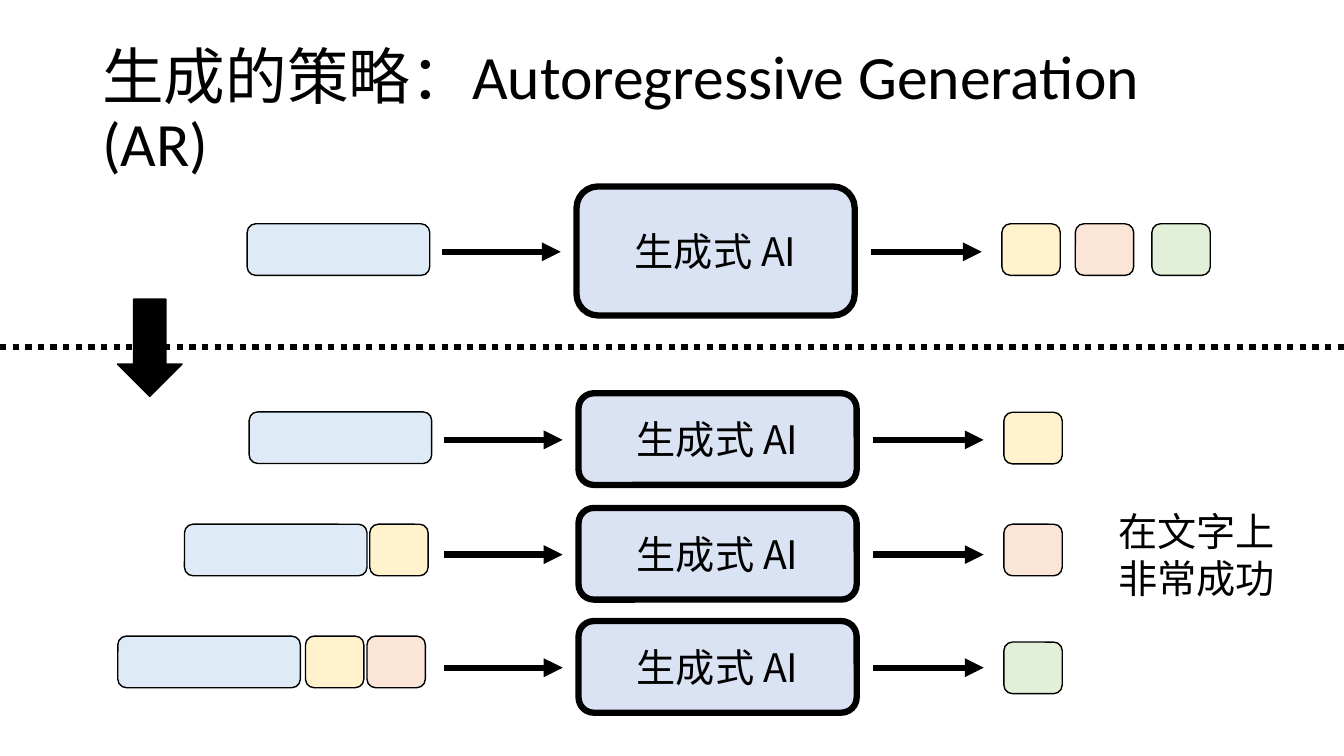
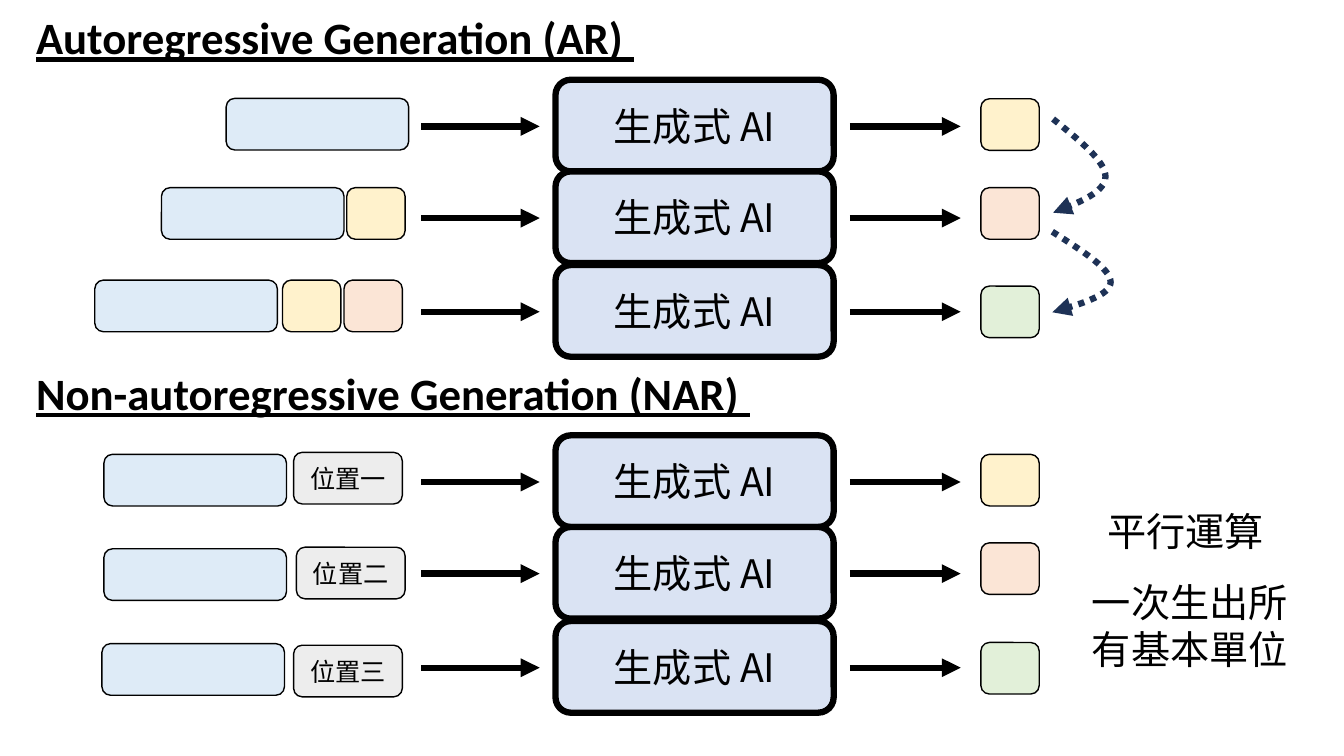
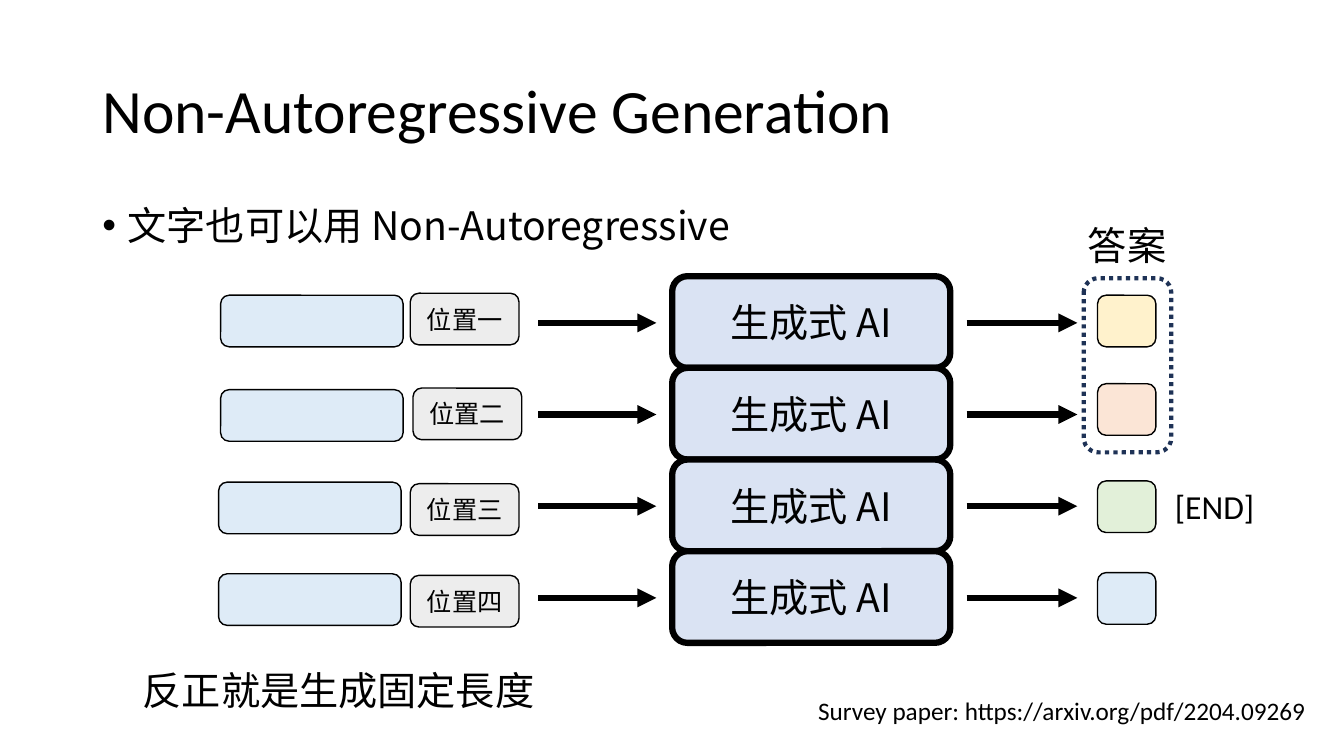
from dataclasses import dataclass

from lxml.etree import SubElement
from pptx import Presentation
from pptx.dml.color import RGBColor
from pptx.enum.dml import MSO_LINE
from pptx.enum.shapes import MSO_CONNECTOR, MSO_SHAPE
from pptx.enum.text import MSO_ANCHOR, PP_ALIGN
from pptx.oxml.ns import qn
from pptx.util import Cm, Pt


@dataclass(frozen=True)
class Theme:
    ink: str = "000000"
    navy: str = "1E3256"
    model: str = "DAE3F3"
    prompt: str = "DEEBF7"
    yellow: str = "FFF2CC"
    red: str = "FBE5D6"
    green: str = "E2F0D9"
    position: str = "EDEDED"
    latin: str = "Calibri"
    chinese: str = "Noto Sans CJK SC"
    title: int = 44
    heading: int = 32
    body: int = 28
    mark: int = 24
    small: int = 18
    thin: float = 1
    frame: float = 3
    thick: float = 4.5


THEME = Theme()
SLIDE_WIDTH, SLIDE_HEIGHT = 33.87, 19.05
MODEL_WIDTH, MODEL_HEIGHT = 7.01, 2.31
TOKEN_WIDTH, PROMPT_WIDTH, POSITION_WIDTH = 1.47, 4.6, 2.74
TOKEN_HEIGHT = 1.3
INPUT_ARROW = (-3.38, -0.4)
OUTPUT_ARROW = (7.42, 10.21)
OUTPUT_LEFT = 10.72


@dataclass(frozen=True)
class Block:
    left: float
    top: float
    color: str
    width: float = TOKEN_WIDTH
    label: str = ""


def prompt(left, top):
    return Block(left, top, THEME.prompt, PROMPT_WIDTH)


def position(left, top, numeral):
    return Block(left, top, THEME.position, POSITION_WIDTH, "位置" + numeral)


def output(top, color):
    return Block(OUTPUT_LEFT, top, color)


OVERVIEW_STEP = [
    prompt(-8.3, 0.94),
    output(0.94, THEME.yellow),
    Block(12.57, 0.94, THEME.red),
    Block(14.5, 0.94, THEME.green),
]
AUTOREGRESSIVE_STEPS = [
    [prompt(-8.3, 0.47), output(0.48, THEME.yellow)],
    [prompt(-9.93, 0.41), Block(-5.26, 0.41, THEME.yellow), output(0.41, THEME.red)],
    [
        prompt(-11.61, 0.38),
        Block(-6.88, 0.38, THEME.yellow),
        Block(-5.33, 0.38, THEME.red),
        output(0.53, THEME.green),
    ],
]
PARALLEL_STEPS = [
    [prompt(-11.38, 0.48), position(-6.6, 0.43, "一"), output(0.48, THEME.yellow)],
    [prompt(-11.38, 0.55), position(-6.53, 0.51, "二"), output(0.4, THEME.red)],
    [prompt(-11.43, 0.57), position(-6.6, 0.61, "三"), output(0.54, THEME.green)],
    [prompt(-11.43, 0.57), position(-6.6, 0.61, "四"), output(0.54, THEME.prompt)],
]


def color_of(value):
    return RGBColor.from_string(value)


def style_run(run, size, font, bold=False, underline=False):
    run.font.size = Pt(size)
    run.font.name = font
    run.font.bold = bold
    run.font.underline = underline
    run.font.color.rgb = color_of(THEME.ink)
    east_asian = SubElement(run.font._element, qn("a:ea"))
    east_asian.set("typeface", THEME.chinese)


def style_line(line, width, color=THEME.ink, dotted=False):
    line.color.rgb = color_of(color)
    line.width = Pt(width)
    if dotted:
        line.dash_style = MSO_LINE.ROUND_DOT


def add_arrowhead(shape):
    outline = shape._element.spPr.find(qn("a:ln"))
    SubElement(outline, qn("a:tailEnd")).set("type", "triangle")


def add_text(slide, box, text, size=THEME.body, font=THEME.chinese,
             align=PP_ALIGN.LEFT, bold=False, underline=False):
    shape = slide.shapes.add_textbox(*map(Cm, box))
    frame = shape.text_frame
    frame.word_wrap = True
    frame.text = text
    for paragraph in frame.paragraphs:
        paragraph.alignment = align
        for run in paragraph.runs:
            style_run(run, size, font, bold, underline)
    return shape


def add_title(slide, *parts):
    shape = add_text(slide, (2.33, 1.01, 29.21, 3.68), "")
    frame = shape.text_frame
    frame.vertical_anchor = MSO_ANCHOR.MIDDLE
    paragraph = frame.paragraphs[0]
    paragraph.line_spacing = 0.9
    for text, font in parts:
        run = paragraph.add_run()
        run.text = text
        style_run(run, THEME.title, font)


def add_heading(slide, top, text):
    add_text(slide, (0.66, top, 21.74, 1.62), text, THEME.heading, THEME.latin,
             bold=True, underline=True)


def add_bullet(slide, box, text):
    shape = add_text(slide, box, text)
    paragraph = shape.text_frame.paragraphs[0]
    paragraph.line_spacing = 0.9
    properties = paragraph._p.get_or_add_pPr()
    properties.set("marL", str(Cm(0.64)))
    properties.set("indent", str(-Cm(0.64)))
    SubElement(properties, qn("a:buFont")).set("typeface", "Arial")
    SubElement(properties, qn("a:buChar")).set("char", "•")


def add_box(slide, box, fill=None, label="", size=THEME.body, line_width=THEME.thin,
            line_color=THEME.ink, dotted=False, preset=MSO_SHAPE.ROUNDED_RECTANGLE):
    shape = slide.shapes.add_shape(preset, *map(Cm, box))
    shape.shadow.inherit = False
    if fill:
        shape.fill.solid()
        shape.fill.fore_color.rgb = color_of(fill)
    else:
        shape.fill.background()
    style_line(shape.line, line_width, line_color, dotted)
    if label:
        frame = shape.text_frame
        frame.text = label
        frame.vertical_anchor = MSO_ANCHOR.MIDDLE
        paragraph = frame.paragraphs[0]
        paragraph.alignment = PP_ALIGN.CENTER
        style_run(paragraph.runs[0], size, THEME.chinese)


def add_horizontal(slide, start, end, height, dotted=False, arrow=True):
    connector = slide.shapes.add_connector(
        MSO_CONNECTOR.STRAIGHT, Cm(start), Cm(height), Cm(end), Cm(height))
    style_line(connector.line, THEME.thick, dotted=dotted)
    if arrow:
        add_arrowhead(connector)
    SubElement(connector._element.spPr, qn("a:effectLst"))


def bezier_points(start, first, second, end, count=16):
    for index in range(1, count + 1):
        t = index / count
        weights = ((1 - t) ** 3, 3 * t * (1 - t) ** 2, 3 * t ** 2 * (1 - t), t ** 3)
        yield tuple(
            Cm(sum(weight * point[axis] for weight, point
                   in zip(weights, (start, first, second, end))))
            for axis in (0, 1))


def add_feedback_arrow(slide, left, top, middle, bottom, bulge):
    upper, lower = middle - top, bottom - middle
    right, center = left + bulge, left + bulge / 2
    start, turn, end = (left, top), (right, middle), (left, bottom)
    points = [
        *bezier_points(start, (center, top + 0.37 * upper),
                       (right, top + 0.73 * upper), turn),
        *bezier_points(turn, (right, middle + 0.43 * lower),
                       (center, middle + 0.72 * lower), end),
    ]
    builder = slide.shapes.build_freeform(Cm(left), Cm(top))
    builder.add_line_segments(points, close=False)
    shape = builder.convert_to_shape()
    shape.shadow.inherit = False
    shape.fill.background()
    style_line(shape.line, THEME.thick, THEME.navy, dotted=True)
    add_arrowhead(shape)


def add_step(slide, left, top, blocks, height=MODEL_HEIGHT):
    add_box(slide, (left, top, MODEL_WIDTH, height), THEME.model, "生成式 AI",
            line_width=THEME.thick)
    for start, end in (INPUT_ARROW, OUTPUT_ARROW):
        add_horizontal(slide, left + start, left + end, top + height / 2 + 0.02)
    for block in blocks:
        box = (left + block.left, top + block.top, block.width, TOKEN_HEIGHT)
        add_box(slide, box, block.color, block.label, THEME.small)


def add_steps(slide, left, tops, steps):
    for top, blocks in zip(tops, steps):
        add_step(slide, left, top, blocks)


def build_strategy(slide):
    add_title(slide, ("生成的策略：", THEME.chinese),
              ("Autoregressive Generation (AR)", THEME.latin))
    add_step(slide, 14.53, 4.7, OVERVIEW_STEP, height=3.25)
    add_steps(slide, 14.58, (9.91, 12.8, 15.65), AUTOREGRESSIVE_STEPS)
    add_horizontal(slide, 0, SLIDE_WIDTH, 8.74, dotted=True, arrow=False)
    add_box(slide, (2.96, 7.54, 1.63, 2.45), THEME.ink, preset=MSO_SHAPE.DOWN_ARROW)
    add_text(slide, (27.94, 12.65, 4.95, 2.64), "在文字上\n非常成功")


def build_comparison(slide):
    add_steps(slide, 14, (2.01, 4.32, 6.68), AUTOREGRESSIVE_STEPS)
    add_feedback_arrow(slide, 26.54, 3, 4.45, 5.36, 1.32)
    add_feedback_arrow(slide, 26.52, 5.84, 7.11, 7.87, 1.47)
    add_heading(slide, 0.13, "Autoregressive Generation (AR) ")
    add_heading(slide, 9.09, "Non-autoregressive Generation (NAR) ")
    add_steps(slide, 14, (10.97, 13.28, 15.65), PARALLEL_STEPS)
    add_text(slide, (27.08, 12.67, 5.61, 1.45), "平行運算", align=PP_ALIGN.CENTER)
    add_text(slide, (27.18, 14.45, 5.61, 2.64), "一次生出所有基本單位",
             align=PP_ALIGN.CENTER)


def build_parallel(slide):
    add_title(slide, ("Non-Autoregressive Generation", THEME.latin))
    add_bullet(slide, (2.33, 5.08, 29.21, 1.5), "文字也可以用 Non-Autoregressive")
    add_text(slide, (20.37, 17.4, 13.5, 1.02),
             "Survey paper: https://arxiv.org/pdf/2204.09269", THEME.small, THEME.latin)
    tops = [6.96 + index * MODEL_HEIGHT for index in range(len(PARALLEL_STEPS))]
    add_steps(slide, 16.94, tops, PARALLEL_STEPS)
    add_text(slide, (3.35, 16.66, 11.25, 1.45), "反正就是生成固定長度")
    add_text(slide, (29.36, 12.12, 3.07, 1.27), "[END]", THEME.mark, THEME.latin)
    add_box(slide, (27.31, 7.01, 2.21, 4.39), line_width=THEME.frame,
            line_color=THEME.navy, dotted=True)
    add_text(slide, (26.87, 5.46, 3.07, 1.45), "答案", align=PP_ALIGN.CENTER)


def main():
    presentation = Presentation()
    presentation.slide_width = Cm(SLIDE_WIDTH)
    presentation.slide_height = Cm(SLIDE_HEIGHT)
    blank_layout = presentation.slide_layouts[6]
    for build in (build_strategy, build_comparison, build_parallel):
        build(presentation.slides.add_slide(blank_layout))
    presentation.save("out.pptx")


if __name__ == "__main__":
    main()
